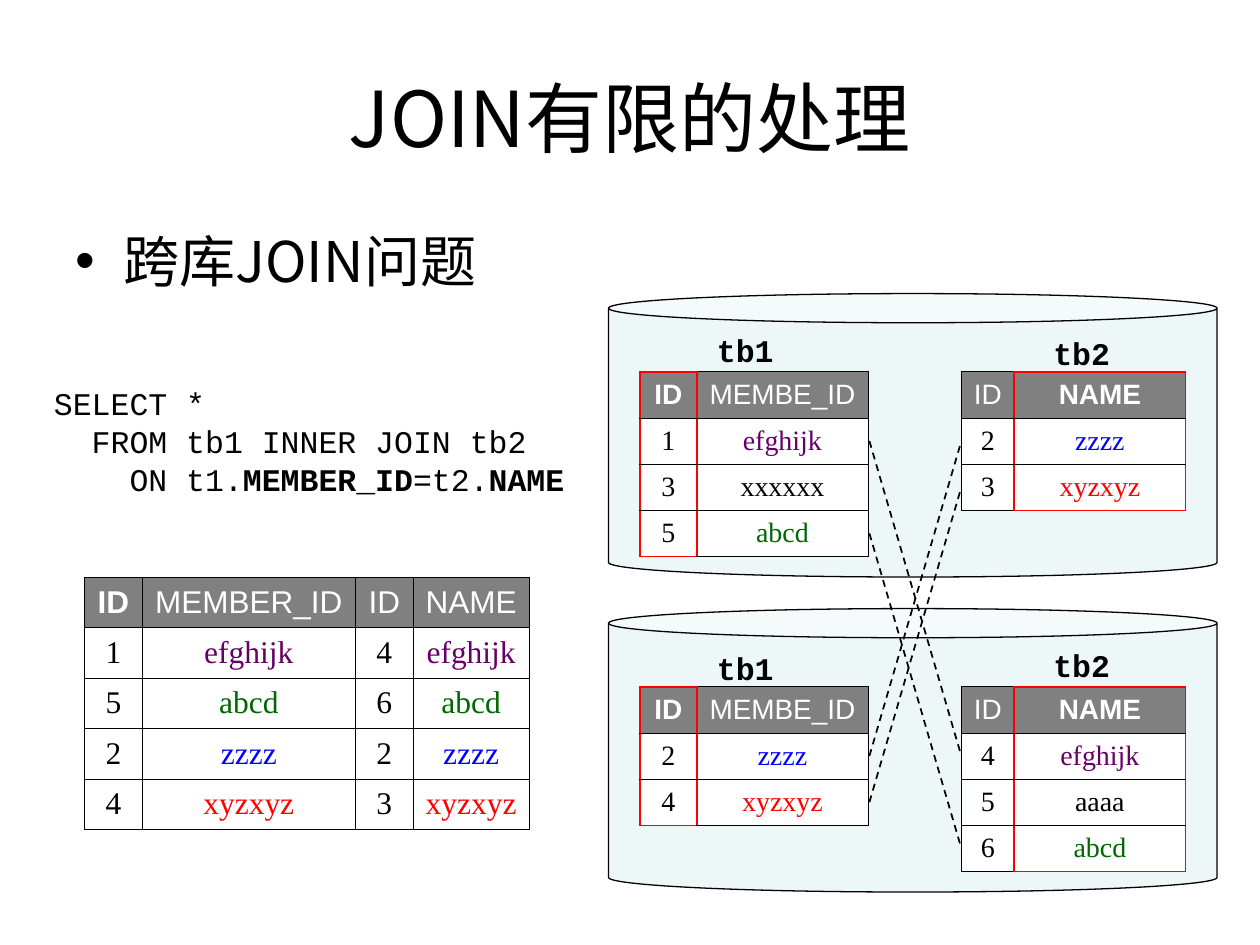
from lxml import etree
from pptx import Presentation
from pptx import util as u
from pptx.dml import color
from pptx.enum import dml, shapes, text
from pptx.oxml import ns

HUES = {"ink": "000000", "head": "808080", "paper": "FFFFFF", "key": "FF0000",
        "can": "BBE0E3", "efghijk": "660066", "abcd": "006600",
        "zzzz": "0000FF", "xyzxyz": "FF0000"}
SANS, MONO, SERIF, HAN = "Arial", "Courier New", "Times New Roman", "Noto Sans CJK SC"
MID = text.PP_ALIGN.CENTER
ROW = 1.1 / 3


def rgb(name):
    """Return the named colour."""
    return color.RGBColor.from_string(HUES[name])


def tag(top, name, **attrs):
    """Append a drawing element and return it."""
    return etree.SubElement(top, ns.qn("a:" + name), attrs)


class Deck:
    """Holds the style and the current slide."""

    def __init__(self):
        """Open a title-only slide."""
        self.prs = Presentation()
        self.prs.slide_width, self.prs.slide_height = u.Inches(10), u.Inches(7.5)
        self.page = self.prs.slides.add_slide(self.prs.slide_layouts[5])

    def font(self, run, face, size, hue="ink", bold=False):
        """Format one run."""
        font = run.font
        font.name, font.size, font.bold = face, u.Pt(size), bold
        font.color.rgb = rgb(hue)
        if face == HAN:
            tag(run._r.get_or_add_rPr(), "ea", typeface=face)

    def title(self, words, *place):
        """Place the title."""
        box = self.page.shapes.title
        box.left, box.top, box.width, box.height = map(u.Inches, place)
        frame = box.text_frame
        frame.text = words
        frame.vertical_anchor = text.MSO_ANCHOR.MIDDLE
        frame.paragraphs[0].alignment = MID
        self.font(frame.paragraphs[0].runs[0], HAN, 44)

    def box(self, *place):
        """Add a wrapping text box and return its frame."""
        frame = self.page.shapes.add_textbox(*map(u.Inches, place)).text_frame
        frame.word_wrap = True
        return frame

    def bullet(self, words, *place):
        """Add a bulleted line."""
        para = self.box(*place).paragraphs[0]
        para.text = words
        para.space_before = u.Pt(8)
        props = para._p.get_or_add_pPr()
        props.set("marL", str(u.Inches(0.38)))
        props.set("indent", str(u.Inches(-0.38)))
        tag(props, "buFont", typeface=SANS)
        tag(props, "buChar", char="•")
        self.font(para.runs[0], HAN, 32)

    def code(self, lines, *place):
        """Add code lines, each an indent and (words, bold) parts."""
        frame = self.box(*place)
        for i, (indent, parts) in enumerate(lines):
            para = frame.add_paragraph() if i else frame.paragraphs[0]
            para.line_spacing = u.Pt(21.7)
            para._p.get_or_add_pPr().set("marL", str(u.Inches(indent)))
            for words, bold in parts:
                run = para.add_run()
                run.text = words
                self.font(run, MONO, 18, bold=bold)
        return frame

    def label(self, words, left, top):
        """Add a table name."""
        frame = self.code([(0, [(words, True)])], left, top, 0.83, 0.4)
        frame.paragraphs[0].alignment = MID

    def can(self, *place):
        """Add a database cylinder."""
        can = self.page.shapes.add_shape(shapes.MSO_SHAPE.CAN, *map(u.Inches, place))
        can.shadow.inherit = False
        can.adjustments[0] = 0.103
        can.fill.solid()
        can.fill.fore_color.rgb = rgb("can")
        tag(can._element.spPr.find(".//" + ns.qn("a:srgbClr")), "alpha", val="24000")
        can.line.color.rgb = rgb("ink")
        can.line.width = u.Pt(0.75)

    def link(self, *ends):
        """Add a dashed line."""
        line = self.page.shapes.add_connector(shapes.MSO_CONNECTOR.STRAIGHT,
                                              *map(u.Inches, ends))
        line.line.color.rgb = rgb("ink")
        line.line.width = u.Pt(1)
        line.line.dash_style = dml.MSO_LINE.DASH
        tag(line._element.spPr, "effectLst")

    def edge(self, cell, reds):
        """Draw the four borders, red on the given sides."""
        props = cell._tc.get_or_add_tcPr()
        for i, side in enumerate("LRTB"):
            red = side in reds
            line = etree.Element(ns.qn("a:ln" + side), w=str(u.Pt(1.08 if red else 0.45)))
            fill = tag(line, "solidFill")
            tag(fill, "srgbClr", val=HUES["key" if red else "ink"])
            props.insert(i, line)

    def table(self, left, top, wide, high, size, rows, key, framed=True):
        """Add a table with a bold key column, framed in red if asked."""
        last = len(rows) - 1
        grid = self.page.shapes.add_table(
            len(rows), len(wide),
            *map(u.Inches, (left, top, sum(wide), high * len(rows)))).table
        grid.first_row = grid.horz_banding = False
        for col, width in zip(grid.columns, wide):
            col.width = u.Inches(width)
        for i, row in enumerate(rows):
            grid.rows[i].height = u.Inches(high)
            for j, words in enumerate(row):
                cell = grid.cell(i, j)
                cell.vertical_anchor = text.MSO_ANCHOR.MIDDLE
                cell.margin_left = cell.margin_right = u.Inches(0.09)
                cell.fill.solid()
                cell.fill.fore_color.rgb = rgb("paper" if i else "head")
                para = cell.text_frame.paragraphs[0]
                para.text = words
                para.alignment = MID
                para.space_before = u.Pt(size / 4)
                hue = (words if words in HUES else "ink") if i else "paper"
                self.font(para.runs[0], SERIF if i else SANS, size, hue,
                          not i and j == key)
                reds = ""
                if framed:
                    reds = {0: "LR", 1: "", -1: "R"}[j - key]
                    if j == key:
                        reds += "T" * (i == 0) + "B" * (i == last)
                self.edge(cell, reds)


def main():
    """Build the slide."""
    deck = Deck()
    deck.title("JOIN有限的处理", 0.5, 0.3, 9, 1.25)
    deck.bullet("跨库JOIN问题", 0.5, 1.75, 5.25, 0.92)
    deck.code([(0, [("SELECT *", False)]),
               (0.3, [("FROM tb1 INNER JOIN tb2", False)]),
               (0.6, [("ON t1.", False), ("MEMBER_ID", True),
                      ("=t2.", False), ("NAME", True)])],
              0.33, 3, 4.5, 1)

    members = ("ID", "MEMBE_ID")
    names = ("ID", "NAME")
    stores = [
        (2.33, 2.58, 2.6,
         [members, ("1", "efghijk"), ("3", "xxxxxx"), ("5", "abcd")],
         [names, ("2", "zzzz"), ("3", "xyzxyz")]),
        (4.83, 5.1, 5.08,
         [members, ("2", "zzzz"), ("4", "xyzxyz")],
         [names, ("4", "efghijk"), ("5", "aaaa"), ("6", "abcd")])]
    for top, one, two, left, right in stores:
        deck.can(4.83, top, 4.83, 2.25)
        deck.table(5.08, top + 0.62, (0.45, 1.36), ROW, 16, left, 0)
        deck.table(7.63, top + 0.62, (0.42, 1.36), ROW, 16, right, 1)
        deck.label("tb1", 5.5, one)
        deck.label("tb2", 8.17, two)

    high, low = [[store[0] + 0.62 + ROW * (i + 0.5) for i in range(4)]
                 for store in stores]
    for start, end in ((high[1], low[1]), (high[3], low[3]),
                       (low[1], high[1]), (low[2], high[2])):
        deck.link(6.9, start, 7.63, end)

    deck.table(0.67, 4.58, (0.46, 1.69, 0.46, 0.92), 0.4, 18,
               [("ID", "MEMBER_ID", "ID", "NAME"),
                ("1", "efghijk", "4", "efghijk"),
                ("5", "abcd", "6", "abcd"),
                ("2", "zzzz", "2", "zzzz"),
                ("4", "xyzxyz", "3", "xyzxyz")], 0, framed=False)
    deck.prs.save("out.pptx")


if __name__ == "__main__":
    main()
